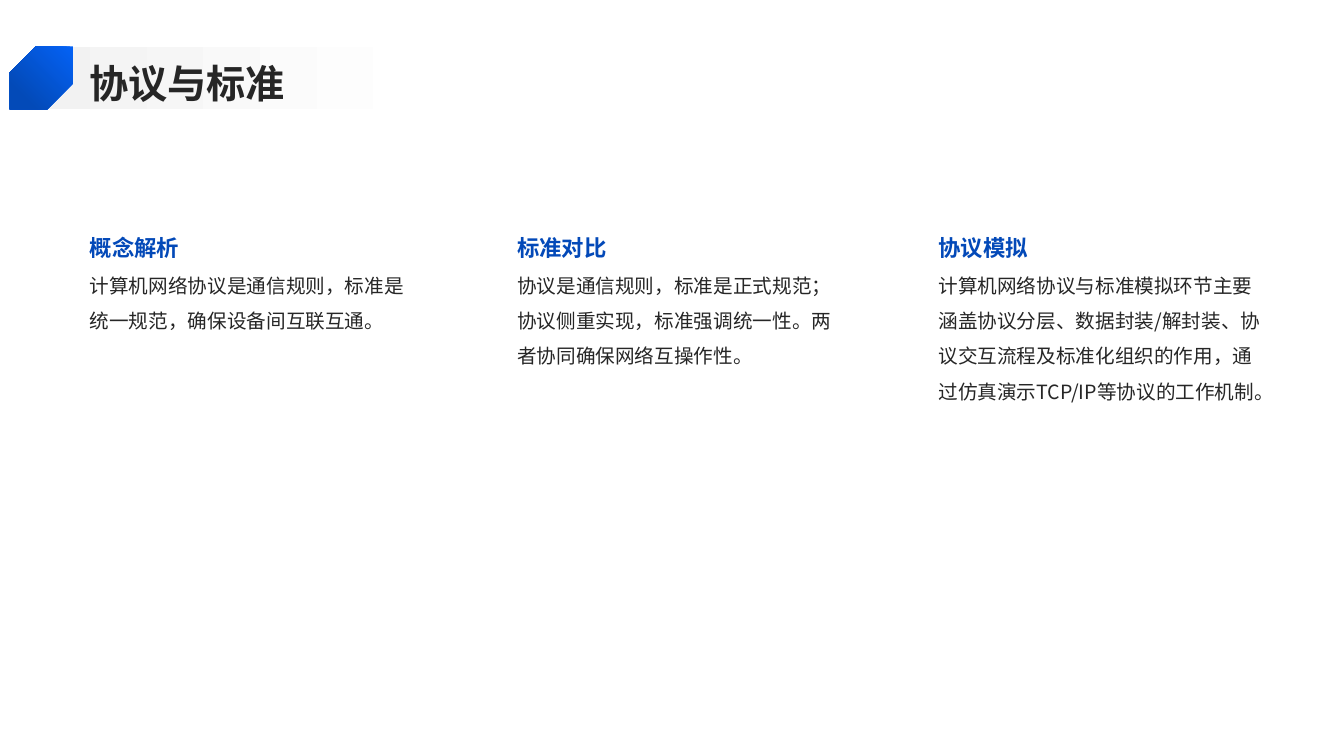
from dataclasses import dataclass

from lxml import etree
from pptx import Presentation
from pptx.dml.color import RGBColor
from pptx.enum import shapes, text
from pptx.oxml import ns
from pptx.slide import Slide
from pptx.util import Pt

FONT = "Noto Sans CJK SC"
INK = RGBColor(0x26, 0x26, 0x26)
BLUE = RGBColor(0x03, 0x49, 0xB8)
BRIGHT_BLUE = RGBColor(0x04, 0x62, 0xF5)
DEEP_BLUE = RGBColor(0x03, 0x4A, 0xB8)
PALE_GREY = RGBColor(0xF2, 0xF2, 0xF2)
WHITE = RGBColor(0xFF, 0xFF, 0xFF)

COLUMN_WIDTH = 234.7
FRAME = dict(word_wrap=True, margin_left=0, margin_top=0, margin_right=0, margin_bottom=0)


@dataclass(frozen=True)
class Box:
    left: float
    top: float
    width: float
    height: float

    def lengths(self) -> list[Pt]:
        return [Pt(v) for v in (self.left, self.top, self.width, self.height)]


@dataclass(frozen=True)
class Style:
    size: float
    color: RGBColor
    bold: bool
    spacing: float
    anchor: text.MSO_ANCHOR


@dataclass(frozen=True)
class Column:
    left: float
    heading: str
    body: str


TITLE = Style(28, INK, True, 1.1, text.MSO_ANCHOR.MIDDLE)
HEADING = Style(16, BLUE, True, 1.1, text.MSO_ANCHOR.MIDDLE)
BODY = Style(14, INK, False, 1.5, text.MSO_ANCHOR.TOP)

COLUMNS = [
    Column(64.1, "概念解析", "计算机网络协议是通信规则，标准是统一规范，确保设备间互联互通。"),
    Column(369.4, "标准对比",
           "协议是通信规则，标准是正式规范；协议侧重实现，标准强调统一性。两者协同确保网络互操作性。"),
    Column(670.3, "协议模拟",
           "计算机网络协议与标准模拟环节主要涵盖协议分层、数据封装/解封装、"
           "协议交互流程及标准化组织的作用，通过仿真演示TCP/IP等协议的工作机制。"),
]


def add_text(s: Slide, box: Box, words: str, style: Style) -> None:
    tf = s.shapes.add_textbox(*box.lengths()).text_frame
    for name, value in {**FRAME, "vertical_anchor": style.anchor}.items():
        setattr(tf, name, value)
    p = tf.paragraphs[0]
    p.line_spacing = style.spacing
    r = p.add_run()
    r.text = words
    for name, value in dict(name=FONT, size=Pt(style.size), bold=style.bold).items():
        setattr(r.font, name, value)
    r.font.color.rgb = style.color
    etree.SubElement(r._r.get_or_add_rPr(), ns.qn("a:ea"), typeface=FONT)


def add_gradient(s: Slide, kind: shapes.MSO_SHAPE, box: Box, start: RGBColor, end: RGBColor,
                 angle: float, adjustments: tuple[float, ...] = ()) -> None:
    sp = s.shapes.add_shape(kind, *box.lengths())
    sp.shadow.inherit = False
    sp.line.fill.background()
    for i, value in enumerate(adjustments):
        sp.adjustments[i] = value
    sp.fill.gradient()
    sp.fill.gradient_angle = angle
    for stop, position, color in zip(sp.fill.gradient_stops, (0, 0.8), (start, end)):
        stop.position = position
        stop.color.rgb = color


def main() -> None:
    prs = Presentation()
    prs.slide_width, prs.slide_height = Pt(960), Pt(540)
    s = prs.slides.add_slide(prs.slide_layouts[6])
    for column in COLUMNS:
        add_text(s, Box(column.left, 187.2, COLUMN_WIDTH, 270), column.body, BODY)
        add_text(s, Box(column.left, 162, COLUMN_WIDTH, 28), column.heading, HEADING)
    add_gradient(s, shapes.MSO_SHAPE.RECTANGLE, Box(23.8, 33.4, 354.2, 44.6),
                 PALE_GREY, WHITE, 0)
    add_text(s, Box(63.7, 39, 855.4, 36.7), "协议与标准", TITLE)
    add_gradient(s, shapes.MSO_SHAPE.SNIP_2_DIAG_RECTANGLE, Box(7, 33.2, 45, 45),
                 BRIGHT_BLUE, DEEP_BLUE, 225, (0.41, 0))
    prs.save("out.pptx")


if __name__ == "__main__":
    main()
